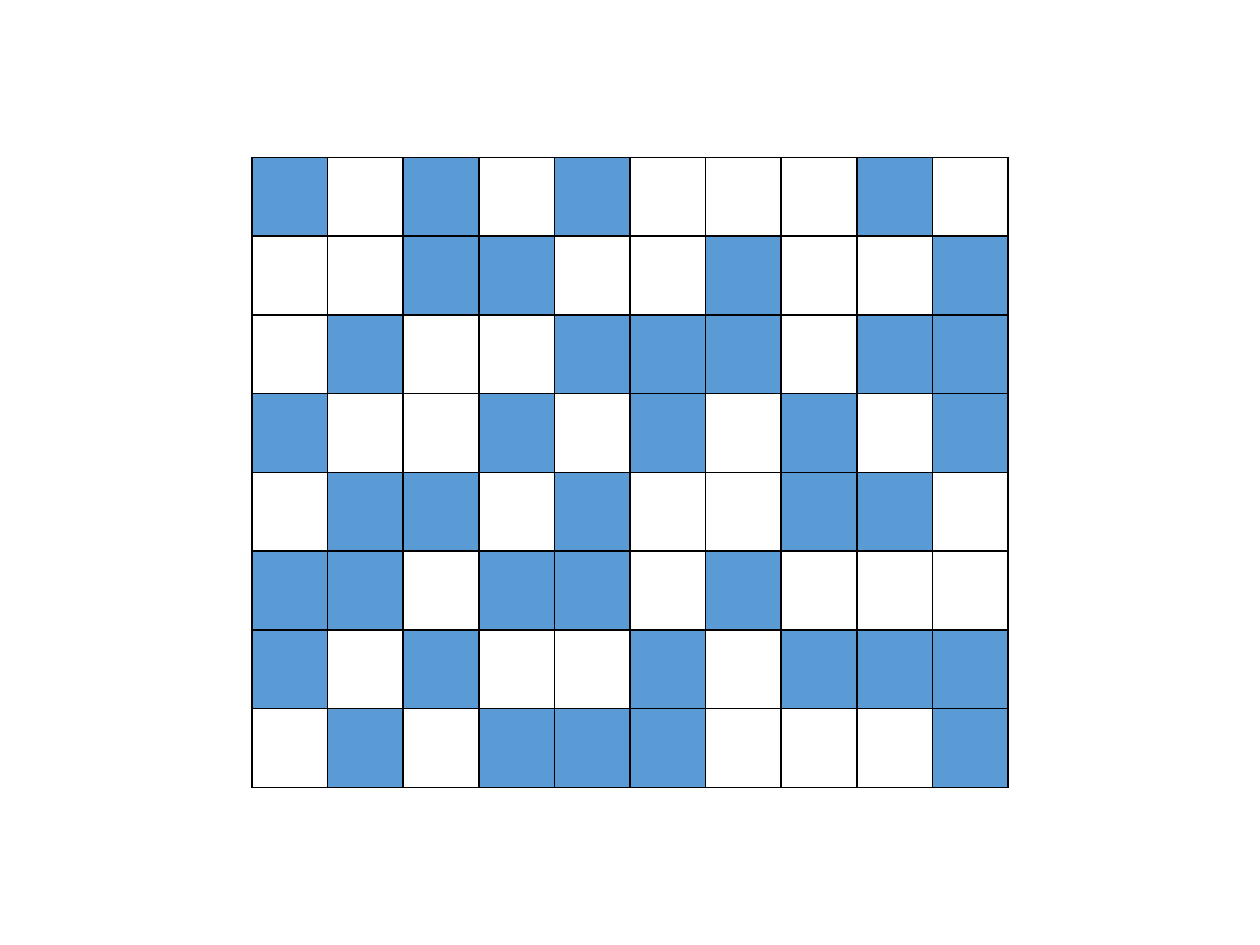
from dataclasses import dataclass

from lxml.etree import SubElement
from pptx import Presentation
from pptx.dml.color import RGBColor as RGB
from pptx.oxml.ns import qn
from pptx.util import Inches, Pt

COLORS = {"filled": "5B9BD5", "border": "000000"}
BORDER_WIDTH = Pt(1)


@dataclass(frozen=True)
class Grid:
    """A table whose place and size are shares of the slide."""
    left: float
    top: float
    width: float
    height: float
    pattern: tuple[str, ...]  # one string per row, "#" marks a filled cell


MOSAIC = Grid(1 / 5, 1 / 6, 3 / 5, 2 / 3, (
    "#.#.#...#.",
    "..##..#..#",
    ".#..###.##",
    "#..#.#.#.#",
    ".##.#..##.",
    "##.##.#...",
    "#.#..#.###",
    ".#.###...#",
))


def style_cell(cell, filled: bool) -> None:
    """Set the borders and the fill; borders come first in the cell's XML."""
    props = cell._tc.get_or_add_tcPr()
    for side in ("lnL", "lnR", "lnT", "lnB"):
        line = SubElement(props, qn(f"a:{side}"), w=str(BORDER_WIDTH))
        solid = SubElement(line, qn("a:solidFill"))
        SubElement(solid, qn("a:srgbClr"), val=COLORS["border"])
    if filled:
        cell.fill.solid()
        cell.fill.fore_color.rgb = RGB.from_string(COLORS["filled"])
    else:
        cell.fill.background()


def draw_grid(prs, slide, grid: Grid) -> None:
    """Add the table with equal columns and rows, then style each cell."""
    rows, cols = len(grid.pattern), len(grid.pattern[0])
    table = slide.shapes.add_table(
        rows, cols,
        int(prs.slide_width * grid.left), int(prs.slide_height * grid.top),
        int(prs.slide_width * grid.width), int(prs.slide_height * grid.height),
    ).table
    table.first_row = table.horz_banding = False
    for r, marks in enumerate(grid.pattern):
        for c, mark in enumerate(marks):
            style_cell(table.cell(r, c), mark == "#")


def main() -> None:
    prs = Presentation()
    prs.slide_width, prs.slide_height = Inches(10), Inches(7.5)
    slide = prs.slides.add_slide(prs.slide_layouts[6])  # blank layout
    draw_grid(prs, slide, MOSAIC)
    prs.save("out.pptx")


if __name__ == "__main__":
    main()
